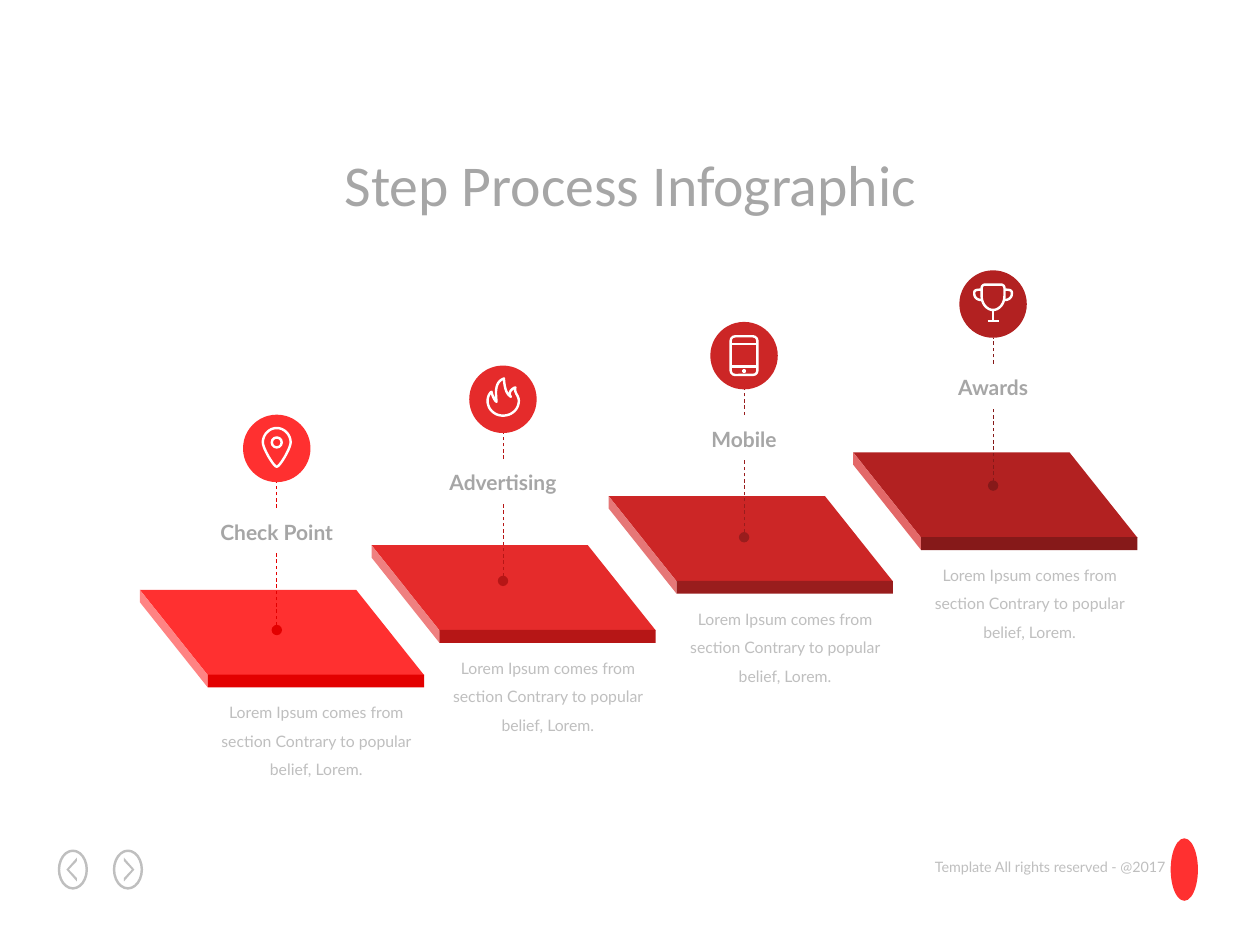
from pptx import Presentation
from pptx.dml.color import RGBColor
from pptx.enum.dml import MSO_LINE
from pptx.enum.shapes import MSO_CONNECTOR, MSO_SHAPE
from pptx.enum.text import MSO_AUTO_SIZE, PP_ALIGN
from pptx.oxml.ns import qn
from pptx.util import Cm, Pt
from lxml.etree import SubElement

COLORS = {"white": "FFFFFF", "heading": "A6A6A6", "muted": "BFBFBF", "accent": "FF3030"}
STROKE = 1.4

deck = Presentation()
deck.slide_width, deck.slide_height = Cm(25.4), Cm(19.05)
page = deck.slides.add_slide(deck.slide_layouts[6])


def paint(shape, fill=None, line=None):
    """Give a shape flat fill and line colours; None means no fill or no line."""
    shape.shadow.inherit = False
    for paint_format, color in ((shape.fill, fill), (shape.line.fill, line)):
        if color:
            paint_format.solid()
            paint_format.fore_color.rgb = RGBColor.from_string(color)
        else:
            paint_format.background()
    if line:
        shape.line.width = Pt(STROKE)


def outline(origin, start, segments, fill=None, line=None):
    """Draw lines (one point) and Bezier curves (three points), in cm from origin."""
    points = [start]
    for segment in segments:
        if len(segment) == 1:
            points += segment
            continue
        ends = (points[-1], *segment)
        for step in range(1, 13):
            t = step / 12
            weights = ((1 - t) ** 3, 3 * t * (1 - t) ** 2, 3 * t * t * (1 - t), t ** 3)
            points.append(tuple(sum(w * end[axis] for w, end in zip(weights, ends))
                                for axis in (0, 1)))
    placed = [(Cm(origin[0] + x), Cm(origin[1] + y)) for x, y in points]
    builder = page.shapes.build_freeform(*placed[0], scale=1.0)
    builder.add_line_segments(placed[1:], close=start == points[-1])
    paint(builder.convert_to_shape(), fill, line)


# Navigation buttons and corner mark
for center, side in ((1.47, -1), (2.58, 1)):
    ring = page.shapes.add_shape(MSO_SHAPE.OVAL, Cm(center - 0.28), Cm(17.15), Cm(0.56), Cm(0.76))
    paint(ring, line=COLORS["muted"])
    chevron = [(-0.08, -0.17), (0.08, 0), (-0.08, 0.17), (-0.08, 0.24),
               (0.13, 0), (-0.08, -0.24), (-0.08, -0.17)]
    corners = [(side * x, y) for x, y in chevron]
    outline((center, 17.53), corners[0], [[corner] for corner in corners[1:]], COLORS["muted"])
mark = page.shapes.add_shape(MSO_SHAPE.OVAL, Cm(23.6), Cm(16.9), Cm(0.55), Cm(1.26))
paint(mark, COLORS["accent"])

# Each text: wording, left, top, width, height, format
title_format = {"name": "Calibri", "size": Pt(33), "color": "heading"}
label_format = {"name": "Lato", "size": Pt(12), "bold": True, "color": "heading"}
body_format = {"name": "Lato", "size": Pt(9), "color": "muted", "wrap": True, "spacing": 1.5}
footer_format = {"name": "Lato", "size": Pt(8.2), "color": "muted", "align": PP_ALIGN.RIGHT}
texts = [
    ("Step Process Infographic", 6.07, 2.87, 13.28, 1.68, title_format),
    ("Template All rights reserved - @2017", 18.42, 17.17, 5.33, 0.61, footer_format),
]

# Icon strokes, in cm from the badge centre
pin = [((0, -0.41), [
    [(0.15, -0.41), (0.28, -0.28), (0.28, -0.12)], [(0.28, 0), (0.06, 0.37), (0, 0.37)],
    [(-0.06, 0.37), (-0.28, 0), (-0.28, -0.12)], [(-0.28, -0.28), (-0.15, -0.41), (0, -0.41)]])]
flame = [((0.25, -0.24), [
    [(0.14, -0.2), (0.11, -0.1), (0.16, -0.05)], [(0.06, -0.11), (0.03, -0.25), (0.02, -0.42)],
    [(-0.2, -0.34), (-0.13, -0.05), (-0.13, 0.05)],
    [(-0.18, 0.02), (-0.22, -0.1), (-0.23, -0.15)],
    [(-0.28, -0.12), (-0.31, -0.03), (-0.31, 0.03)], [(-0.31, 0.2), (-0.17, 0.33), (0, 0.33)],
    [(0.18, 0.33), (0.32, 0.2), (0.32, 0.03)], [(0.32, -0.08), (0.22, -0.13), (0.25, -0.24)]])]
phone = [((-0.27, y), [[(0.27, y)]]) for y in (-0.24, 0.22)]
trophy = [
    ((-0.17, -0.39), [
        [(0.17, -0.39)], [(0.2, -0.39), (0.23, -0.36), (0.23, -0.32)], [(0.23, -0.16)],
        [(0.23, 0), (0.12, 0.12), (0, 0.12)], [(-0.12, 0.12), (-0.23, 0), (-0.23, -0.16)],
        [(-0.23, -0.32)], [(-0.23, -0.36), (-0.2, -0.39), (-0.17, -0.39)]]),
    ((0, 0.12), [[(0, 0.34)]]),
    ((-0.11, 0.34), [[(0.11, 0.34)]]),
]
trophy += [((side * 0.23, -0.29), [
    [(side * 0.34, -0.29), (side * 0.38, -0.28), (side * 0.38, -0.22)],
    [(side * 0.38, -0.13), (side * 0.32, -0.08), (side * 0.23, -0.08)]]) for side in (-1, 1)]

# Preset icon parts: kind, half width, half height, centre y, filled
pin_parts = [(MSO_SHAPE.OVAL, 0.1, 0.1, -0.12, False)]
phone_parts = [(MSO_SHAPE.ROUNDED_RECTANGLE, 0.27, 0.39, 0, False),
               (MSO_SHAPE.OVAL, 0.04, 0.04, 0.31, True)]

# Name, slab left and top, axis x, badge top, top/side/front colours, icon
steps = [
    ("Check Point", 2.82, 11.89, 5.58, 8.36, "FF3030", "FF8383", "E30000", pin, pin_parts),
    ("Advertising", 7.49, 10.99, 10.14, 7.37, "E52B2B", "EF8080", "B61616", flame, []),
    ("Mobile", 12.27, 10.0, 15.0, 6.49, "CC2626", "E67777", "991D1D", phone, phone_parts),
    ("Awards", 17.2, 9.12, 20.02, 5.45, "B22121", "E36868", "861919", trophy, []),
]
SKEW, DEPTH, FRONT, THICK, BADGE = 1.37, 1.72, 4.36, 0.25, 1.36

for name, left, top, axis, badge_top, face, edge, front, strokes, parts in steps:
    # Slab
    outline((left, top), (0, 0), [[(FRONT, 0)], [(FRONT + SKEW, DEPTH)], [(SKEW, DEPTH)],
                                  [(0, 0)]], face)
    outline((left, top), (0, 0), [[(0, THICK)], [(SKEW, DEPTH + THICK)], [(SKEW, DEPTH)],
                                  [(0, 0)]], edge)
    panel = page.shapes.add_shape(MSO_SHAPE.RECTANGLE, Cm(left + SKEW), Cm(top + DEPTH - 0.01),
                                  Cm(FRONT), Cm(THICK + 0.01))
    paint(panel, front)

    # Badge and its dashed stem
    badge = page.shapes.add_shape(MSO_SHAPE.OVAL, Cm(axis - BADGE / 2), Cm(badge_top),
                                  Cm(BADGE), Cm(BADGE))
    paint(badge, face)
    for low, high, dotted_end in ((4.34, 2.77, True), (1.88, BADGE, False)):
        stem = page.shapes.add_connector(MSO_CONNECTOR.STRAIGHT, Cm(axis), Cm(badge_top + low),
                                         Cm(axis), Cm(badge_top + high))
        stem.line.color.rgb = RGBColor.from_string(front)
        stem.line.width = Pt(0.5)
        stem.line.dash_style = MSO_LINE.DASH
        if dotted_end:
            SubElement(stem.line._get_or_add_ln(), qn("a:headEnd"), type="oval")
        SubElement(stem._element.spPr, qn("a:effectLst"))

    # Icon
    middle = badge_top + BADGE / 2
    for start, segments in strokes:
        outline((axis, middle), start, segments, line=COLORS["white"])
    for kind, half_width, half_height, offset, filled in parts:
        part = page.shapes.add_shape(kind, Cm(axis - half_width), Cm(middle + offset - half_height),
                                     Cm(2 * half_width), Cm(2 * half_height))
        paint(part, **{"fill" if filled else "line": COLORS["white"]})

    texts.append((name, axis - 1.4, badge_top + 1.98, 2.8, 0.76, label_format))
    texts.append(("Lorem Ipsum comes from section Contrary to popular belief, Lorem.",
                  left + SKEW, top + DEPTH + THICK, 4.37, 1.98, body_format))

for wording, left, top, width, height, style in texts:
    box = page.shapes.add_textbox(Cm(left), Cm(top), Cm(width), Cm(height))
    box.text_frame.word_wrap = style.get("wrap", False)
    box.text_frame.auto_size = MSO_AUTO_SIZE.SHAPE_TO_FIT_TEXT
    para = box.text_frame.paragraphs[0]
    para.alignment = style.get("align", PP_ALIGN.CENTER)
    para.line_spacing = style.get("spacing")
    span = para.add_run()
    span.text = wording
    for attribute in ("name", "size", "bold"):
        setattr(span.font, attribute, style.get(attribute))
    span.font.color.rgb = RGBColor.from_string(COLORS[style["color"]])

deck.save("out.pptx")
